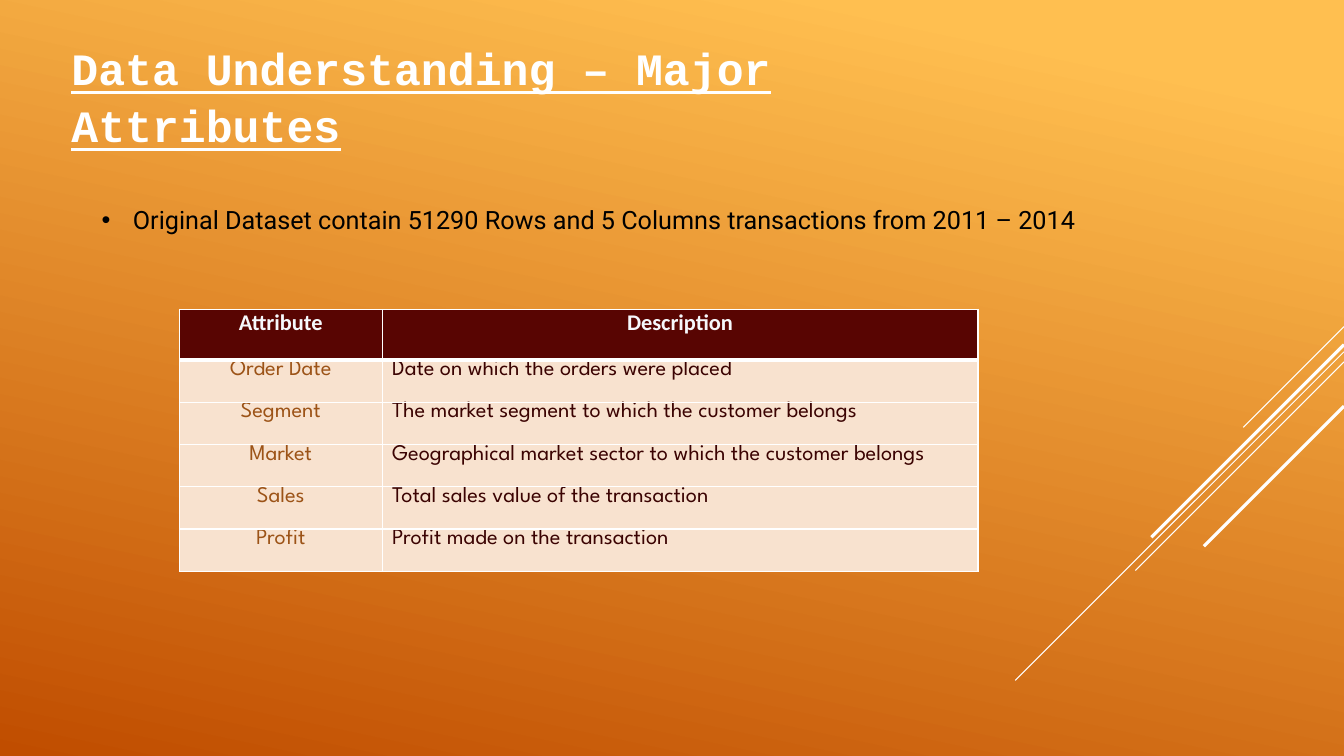
from lxml import etree
from pptx import Presentation
from pptx import util as u
from pptx.dml.color import RGBColor
from pptx.enum import shapes, text
from pptx.oxml import ns

PX = u.Inches(1) // 100

WHITE = RGBColor(0xFF, 0xFF, 0xFF)
BLACK = RGBColor(0, 0, 0)
AMBER = RGBColor(0xFF, 0xBF, 0x50)
RUST = RGBColor(0xC0, 0x4D, 0x00)
MAROON = RGBColor(0x58, 0x05, 0x02)
PALE = RGBColor(0xF6, 0xF8, 0xFC)
PEACH = RGBColor(0xF8, 0xE2, 0xCF)
BROWN = RGBColor(0x9C, 0x53, 0x17)
DARK = RGBColor(0x3B, 0x03, 0x02)

# Each streak starts on the right edge and falls to the left at 45 degrees:
# top, run, width in points
STREAKS = [
    (324, 100, 0.75),
    (349, 326, 0.75),
    (359, 207, 0.75),
    (342, 191, 2.25),
    (403, 139, 2.25),
]

COLS = [201, 591]
HEAD, ROW = 50, 42
ROWS = [
    ("Attribute", "Description"),
    ("Order Date", "Date on which the orders were placed"),
    ("Segment", "The market segment to which the customer belongs"),
    ("Market", "Geographical market sector to which the customer belongs"),
    ("Sales", "Total sales value of the transaction"),
    ("Profit", "Profit made on the transaction"),
]


def px(*nums):
    return [u.Emu(n * PX) for n in nums]


def paint(slide):
    fill = slide.background.fill
    fill.gradient()
    fill.gradient_angle = 258
    for stop, pos, color in zip(fill.gradient_stops, (0.1, 1), (AMBER, RUST)):
        stop.position = pos
        stop.color.rgb = color


def add_streak(slide, top, run, width):
    ends = px(1333, top, 1333 - run, top + run)
    line = slide.shapes.add_connector(shapes.MSO_CONNECTOR.STRAIGHT, *ends)
    line.line.color.rgb = WHITE
    line.line.width = u.Pt(width)
    etree.SubElement(line.element.spPr, ns.qn("a:effectLst"))


def style(para, face, size, color, bold=False):
    for run in para.runs:
        font = run.font
        font.name = face
        font.size = u.Pt(size)
        font.bold = bold
        font.color.rgb = color


def add_text(slide, place, words):
    """Add a wrapped text box and return its frame."""
    frame = slide.shapes.add_textbox(*px(*place)).text_frame
    frame.word_wrap = True
    frame.text = words
    return frame


def add_title(slide):
    frame = add_text(slide, (61, 26, 832, 118),
                     "Data Understanding – Major Attributes")
    frame.margin_top = px(11)[0]
    para = frame.paragraphs[0]
    para.line_spacing = 1.06
    style(para, "Courier New", 32, WHITE, True)
    para.runs[0].font.underline = True


def add_bullet(slide):
    frame = add_text(
        slide, (89, 198, 1206, 42),
        "Original Dataset contain 51290 Rows and 5 Columns "
        "transactions from 2011 – 2014")
    para = frame.paragraphs[0]
    para.space_before = u.Pt(1)
    style(para, "Roboto", 18, BLACK)
    props = para._p.get_or_add_pPr()
    left, hang = px(33, -31)
    props.set("marL", str(left))
    props.set("indent", str(hang))
    etree.SubElement(props, ns.qn("a:buFont"), typeface="Arial")
    etree.SubElement(props, ns.qn("a:buChar"), char="•")


def edge(cell, side, width):
    props = cell._tc.get_or_add_tcPr()
    line = etree.SubElement(props, ns.qn("a:ln" + side), w=str(u.Pt(width)))
    fill = etree.SubElement(line, ns.qn("a:solidFill"))
    etree.SubElement(fill, ns.qn("a:srgbClr"), val=str(WHITE))


def fill_cell(cell, words, row, col):
    head = row == 0
    for side in "LRTB":
        thick = (head and side == "B") or (row == 1 and side == "T")
        edge(cell, side, 3 if thick else 1)
    cell.fill.solid()
    cell.fill.fore_color.rgb = MAROON if head else PEACH
    cell.margin_top = cell.margin_bottom = 0
    cell.text = words
    para = cell.text_frame.paragraphs[0]
    if head or col == 0:
        para.alignment = text.PP_ALIGN.CENTER
    if head:
        para.space_before = u.Pt(5.2)
        style(para, "Calibri", 16, PALE, True)
    else:
        style(para, "League Spartan", 16, DARK if col else BROWN)


def add_grid(slide):
    tall = HEAD + ROW * (len(ROWS) - 1)
    place = px(178, 307, sum(COLS), tall)
    table = slide.shapes.add_table(len(ROWS), len(COLS), *place).table
    table.first_row = table.horz_banding = False
    for col, wide in zip(table.columns, px(*COLS)):
        col.width = wide
    for i, words in enumerate(ROWS):
        table.rows[i].height = px(ROW if i else HEAD)[0]
        for j, word in enumerate(words):
            fill_cell(table.cell(i, j), word, i, j)


def main():
    deck = Presentation()
    deck.slide_width, deck.slide_height = px(1333, 750)
    slide = deck.slides.add_slide(deck.slide_layouts[6])
    paint(slide)
    for streak in STREAKS:
        add_streak(slide, *streak)
    add_title(slide)
    add_grid(slide)
    add_bullet(slide)
    deck.save("out.pptx")


if __name__ == "__main__":
    main()
